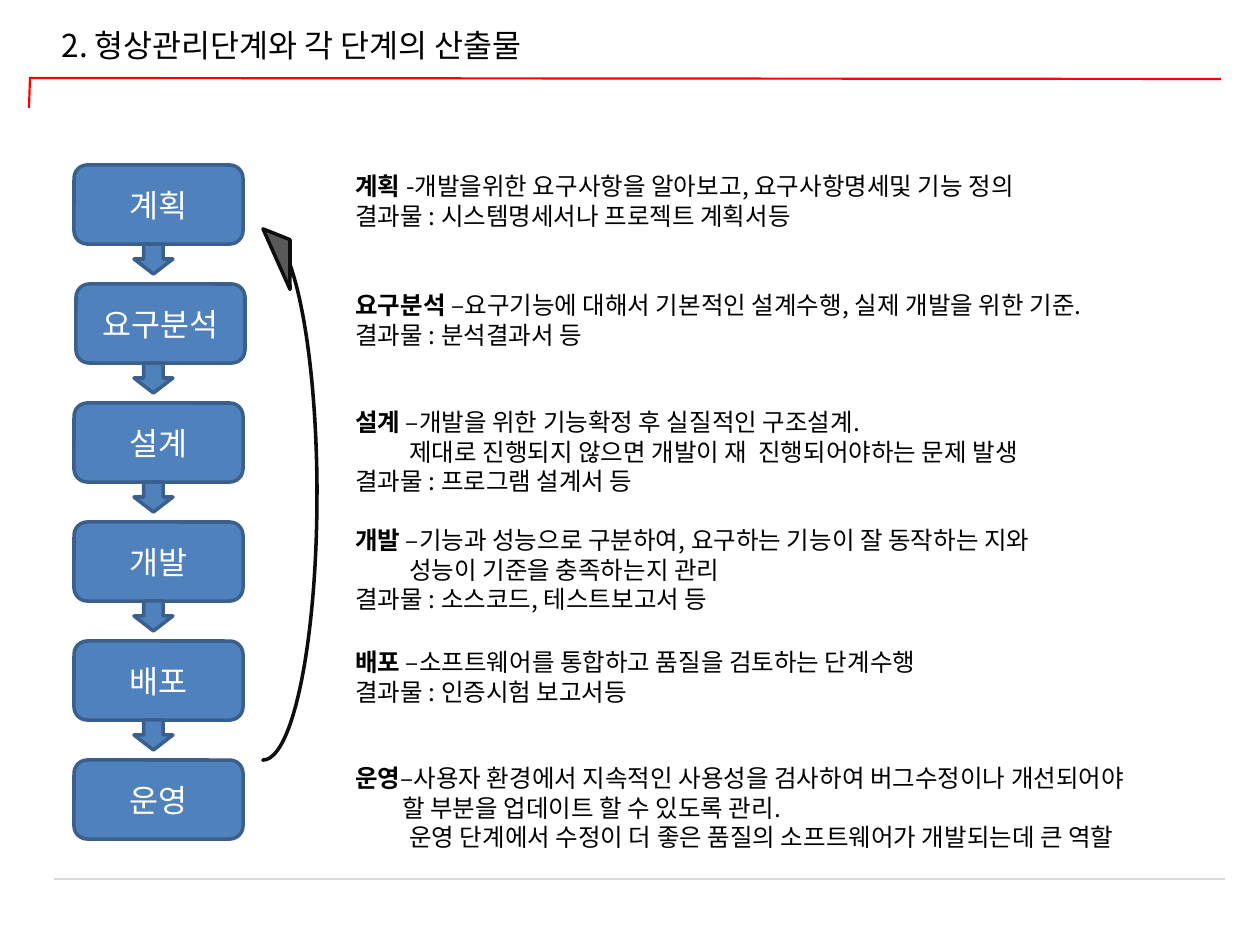
import pptx
import pptx.util
import pptx.dml.color
import pptx.enum.shapes
import pptx.enum.text
import pptx.oxml.ns
from lxml import etree

RGB = pptx.dml.color.RGBColor
SHAPE = pptx.enum.shapes.MSO_SHAPE
ALIGN = pptx.enum.text.PP_ALIGN
ANCHOR = pptx.enum.text.MSO_ANCHOR
FIT = pptx.enum.text.MSO_AUTO_SIZE
qn = pptx.oxml.ns.qn

FONT = "Noto Sans CJK KR"
BLACK = RGB(0x00, 0x00, 0x00)
WHITE = RGB(0xFF, 0xFF, 0xFF)
RED = RGB(0xFF, 0x00, 0x00)
PALE = RGB(0xD9, 0xD9, 0xD9)
BLUE = RGB(0x4F, 0x81, 0xBD)
NAVY = RGB(0x3A, 0x5F, 0x8C)
GREY = RGB(0x59, 0x59, 0x59)
DARK = RGB(0x0D, 0x0D, 0x0D)

SCALE = 914400 / 126  # EMU in one px
PITCH = 119           # from one stage to the next
TOP = 165             # top of the first stage

# Stage name, left edge of its box, top of its note, and the note's
# lines as (indent, text); the first line follows the bold name.
STAGES = [
    ("계획", 74, 165, [
        (0, " -개발을위한 요구사항을 알아보고, 요구사항명세및 기능 정의"),
        (0, "결과물 : 시스템명세서나 프로젝트 계획서등")]),
    ("요구분석", 76, 284, [
        (0, " –요구기능에 대해서 기본적인 설계수행, 실제 개발을 위한 기준."),
        (0, "결과물 : 분석결과서 등")]),
    ("설계", 74, 401, [
        (0, " –개발을 위한 기능확정 후 실질적인 구조설계."),
        (54, "제대로 진행되지 않으면 개발이 재  진행되어야하는 문제 발생"),
        (0, "결과물 : 프로그램 설계서 등")]),
    ("개발", 74, 519, [
        (0, " –기능과 성능으로 구분하여, 요구하는 기능이 잘 동작하는 지와"),
        (54, "성능이 기준을 충족하는지 관리"),
        (0, "결과물 : 소스코드, 테스트보고서 등")]),
    ("배포", 74, 641, [
        (0, " –소프트웨어를 통합하고 품질을 검토하는 단계수행"),
        (0, "결과물 : 인증시험 보고서등")]),
    ("운영", 74, 757, [
        (0, "–사용자 환경에서 지속적인 사용성을 검사하여 버그수정이나 개선되어야"),
        (47, "할 부분을 업데이트 할 수 있도록 관리."),
        (54, "운영 단계에서 수정이 더 좋은 품질의 소프트웨어가 개발되는데 큰 역할")]),
]


def px(*sizes):
    return [pptx.util.Emu(round(size * SCALE)) for size in sizes]


def style(run, size, color, bold=False):
    font = run.font
    font.size = pptx.util.Pt(size)
    font.bold = bold
    font.name = FONT
    font.color.rgb = color
    asian = etree.SubElement(run._r.get_or_add_rPr(), qn("a:ea"))
    asian.set("typeface", FONT)


def add_line(slide, start, end, color, width):
    line = slide.shapes.add_connector(
        pptx.enum.shapes.MSO_CONNECTOR.STRAIGHT, *px(*start, *end))
    line.line.color.rgb = color
    line.line.width = pptx.util.Pt(width)
    etree.SubElement(line._element.spPr, qn("a:effectLst"))


def add_shape(slide, kind, box, fill=BLUE, edge=NAVY):
    shape = slide.shapes.add_shape(kind, *px(*box))
    shape.shadow.inherit = False
    shape.fill.solid()
    shape.fill.fore_color.rgb = fill
    shape.line.color.rgb = edge
    shape.line.width = pptx.util.Pt(2)
    return shape


def add_title(slide, text):
    title = slide.shapes.title
    title.left, title.top, title.width, title.height = px(49, 20, 719, 50)
    frame = title.text_frame
    frame.text = text
    frame.auto_size = FIT.SHAPE_TO_FIT_TEXT
    frame.vertical_anchor = ANCHOR.TOP
    para = frame.paragraphs[0]
    para.alignment = ALIGN.LEFT
    style(para.runs[0], 18, BLACK)


def add_stage(slide, name, left, top):
    shape = add_shape(slide, SHAPE.ROUNDED_RECTANGLE, (left, top, 169, 79))
    frame = shape.text_frame
    frame.text = name
    frame.vertical_anchor = ANCHOR.MIDDLE
    para = frame.paragraphs[0]
    para.alignment = ALIGN.CENTER
    style(para.runs[0], 18, WHITE)


def add_note(slide, name, top, lines):
    box = slide.shapes.add_textbox(*px(343, top, 917, 12 + 30 * len(lines)))
    frame = box.text_frame
    frame.word_wrap = True
    frame.auto_size = FIT.SHAPE_TO_FIT_TEXT
    frame.text = "\n".join(text for _, text in lines)
    for para, (indent, _) in zip(frame.paragraphs, lines):
        style(para.runs[0], 14, BLACK)
        if indent:
            para._p.get_or_add_pPr().set("marL", str(px(indent)[0]))
    # The bold name goes in front of the first line
    first = frame.paragraphs[0]
    head = first.add_run()
    head.text = name
    style(head, 14, BLACK, bold=True)
    first.runs[0]._r.addprevious(head._r)


def main():
    deck = pptx.Presentation()
    deck.slide_width, deck.slide_height = px(1260, 945)
    slide = deck.slides.add_slide(deck.slide_layouts[5])

    # Heading with its red rule, and the foot rule
    add_line(slide, (30, 79), (29, 108), RED, 1.25)
    add_line(slide, (29, 78), (1221, 79), RED, 1.25)
    add_title(slide, "2. 형상관리단계와 각 단계의 산출물")
    add_line(slide, (54, 879), (1225, 879), PALE, 0.75)

    # Stages, each with its note
    for i, (name, left, top, lines) in enumerate(STAGES):
        add_stage(slide, name, left, TOP + i * PITCH)
        add_note(slide, name, top, lines)

    # Arrows down from stage to stage
    for i in range(len(STAGES) - 1):
        add_shape(slide, SHAPE.DOWN_ARROW, (134, TOP + 79 + i * PITCH, 39, 30))

    # Arrow back from the last stage to the first
    back = add_shape(slide, SHAPE.CURVED_RIGHT_ARROW, (263, 204, 54, 556),
                     GREY, DARK)
    back.rotation = 180
    for i, value in enumerate((0, 0.92, 0.5)):
        back.adjustments[i] = value

    deck.save("out.pptx")


if __name__ == "__main__":
    main()
